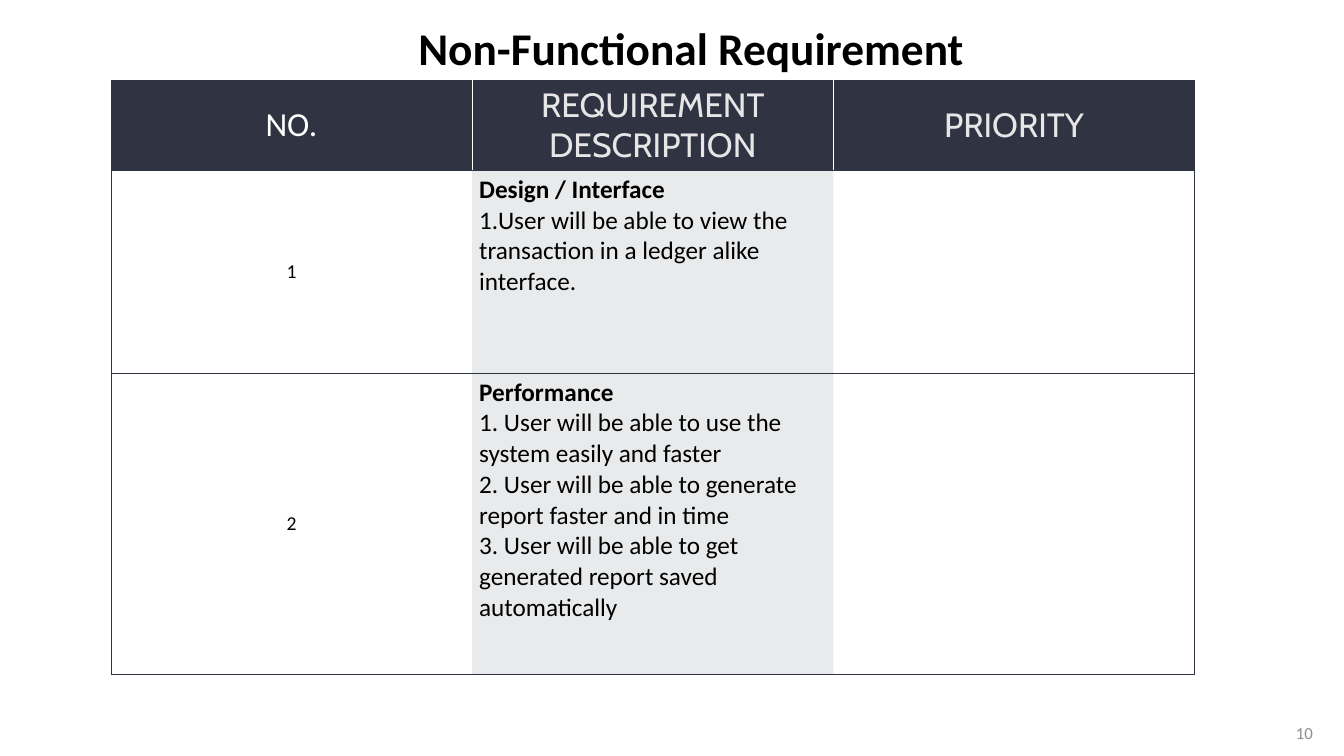
from dataclasses import dataclass

from lxml.etree import SubElement
from pptx import Presentation
from pptx.dml.color import RGBColor
from pptx.enum.text import MSO_ANCHOR, MSO_AUTO_SIZE, PP_ALIGN
from pptx.oxml.ns import qn
from pptx.util import Inches, Pt

WIDTH, HEIGHT = Inches(13.33), Inches(7.5)


@dataclass(frozen=True)
class Theme:
    font: str = "Calibri"
    header_font: str = "Cabin"
    ink: str = "000000"
    navy: str = "2F3342"
    white: str = "FFFFFF"
    pale: str = "E7E6E6"
    grey: str = "8C8C8C"
    title_size: float = 32.4
    header_size: int = 24
    body_size: int = 18
    index_size: int = 14
    number_size: int = 12
    tint: int = 10


THEME = Theme()

HEADERS = [
    ("NO.", THEME.font, THEME.white),
    ("REQUIREMENT DESCRIPTION", THEME.header_font, THEME.pale),
    ("PRIORITY", THEME.header_font, THEME.pale),
]
REQUIREMENTS = [
    ("Design / Interface", [
        "1.User will be able to view the transaction in a ledger alike interface.",
    ]),
    ("Performance", [
        "1. User will be able to use the system easily and faster",
        "2. User will be able to generate report faster and in time",
        "3. User will be able to get generated report saved automatically",
    ]),
]
ROW_PERCENTS = [11.73, 26.8, 39.87]


def area(left, top, width, height):
    return (round(WIDTH * left / 100), round(HEIGHT * top / 100),
            round(WIDTH * width / 100), round(HEIGHT * height / 100))


def write(para, text, size=THEME.body_size, font=THEME.font, color=THEME.ink,
          bold=False, align=PP_ALIGN.LEFT):
    para.alignment = align
    span = para.add_run()
    span.text = text
    span.font.name = font
    span.font.size = Pt(size)
    span.font.bold = bold
    span.font.color.rgb = RGBColor.from_string(color)


def set_borders(cell, **colors):
    properties = cell._tc.get_or_add_tcPr()
    for side in "LRTB":
        color = colors.get(side)
        weight = Pt(1) if color == THEME.white else Pt(0.5)
        line = SubElement(properties, qn(f"a:ln{side}"), w=str(weight))
        if color:
            fill = SubElement(line, qn("a:solidFill"))
            SubElement(fill, qn("a:srgbClr"), val=color)
        else:
            SubElement(line, qn("a:noFill"))


def set_fill(cell, color=None, opacity=100):
    if color is None:
        cell.fill.background()
        return
    cell.fill.solid()
    cell.fill.fore_color.rgb = RGBColor.from_string(color)
    if opacity < 100:
        value = cell._tc.tcPr.find(qn("a:solidFill")).find(qn("a:srgbClr"))
        SubElement(value, qn("a:alpha"), val=str(opacity * 1000))


def format_cell(cell, column, header=False):
    cell.margin_left = cell.margin_right = Inches(0.07)
    cell.margin_top = cell.margin_bottom = Inches(0.04)
    inner = THEME.white if header else None
    set_borders(cell, T=THEME.navy, B=THEME.navy,
                L=THEME.navy if column == 0 else inner,
                R=THEME.navy if column == len(HEADERS) - 1 else inner)
    if header:
        set_fill(cell, THEME.navy)
    elif column == 1:
        set_fill(cell, THEME.navy, THEME.tint)
    else:
        set_fill(cell)


def add_title(page, text):
    title = page.shapes.title
    title.left, title.top, title.width, title.height = area(6.3, 1.87, 90.25, 8.93)
    frame = title.text_frame
    frame.auto_size = MSO_AUTO_SIZE.NONE
    frame.vertical_anchor = MSO_ANCHOR.MIDDLE
    write(frame.paragraphs[0], text, size=THEME.title_size, bold=True,
          align=PP_ALIGN.CENTER)


def add_requirements(page):
    bounds = area(8.25, 10.67, 80.64, sum(ROW_PERCENTS))
    table = page.shapes.add_table(len(ROW_PERCENTS), len(HEADERS), *bounds).table
    table.horz_banding = table.first_row = False
    for row, percent in zip(table.rows, ROW_PERCENTS):
        row.height = round(HEIGHT * percent / 100)
    for index, row in enumerate(table.rows):
        for column, cell in enumerate(row.cells):
            format_cell(cell, column, header=index == 0)
    for column, (text, font, color) in enumerate(HEADERS):
        cell = table.cell(0, column)
        cell.vertical_anchor = MSO_ANCHOR.MIDDLE
        write(cell.text_frame.paragraphs[0], text, size=THEME.header_size,
              font=font, color=color, align=PP_ALIGN.CENTER)
    for index, (heading, items) in enumerate(REQUIREMENTS, start=1):
        number = table.cell(index, 0)
        number.vertical_anchor = MSO_ANCHOR.MIDDLE
        write(number.text_frame.paragraphs[0], str(index), size=THEME.index_size,
              align=PP_ALIGN.CENTER)
        frame = table.cell(index, 1).text_frame
        write(frame.paragraphs[0], heading, bold=True)
        for item in items:
            write(frame.add_paragraph(), item)


def add_page_number(page, text):
    frame = page.shapes.add_textbox(*area(94.75, 94.27, 3.68, 5.33)).text_frame
    frame.word_wrap = True
    frame.vertical_anchor = MSO_ANCHOR.MIDDLE
    write(frame.paragraphs[0], text, size=THEME.number_size, color=THEME.grey,
          align=PP_ALIGN.RIGHT)


def main():
    deck = Presentation()
    deck.slide_width, deck.slide_height = WIDTH, HEIGHT
    page = deck.slides.add_slide(deck.slide_layouts[5])
    add_title(page, "Non-Functional Requirement")
    add_requirements(page)
    add_page_number(page, "10")
    deck.save("out.pptx")


if __name__ == "__main__":
    main()
